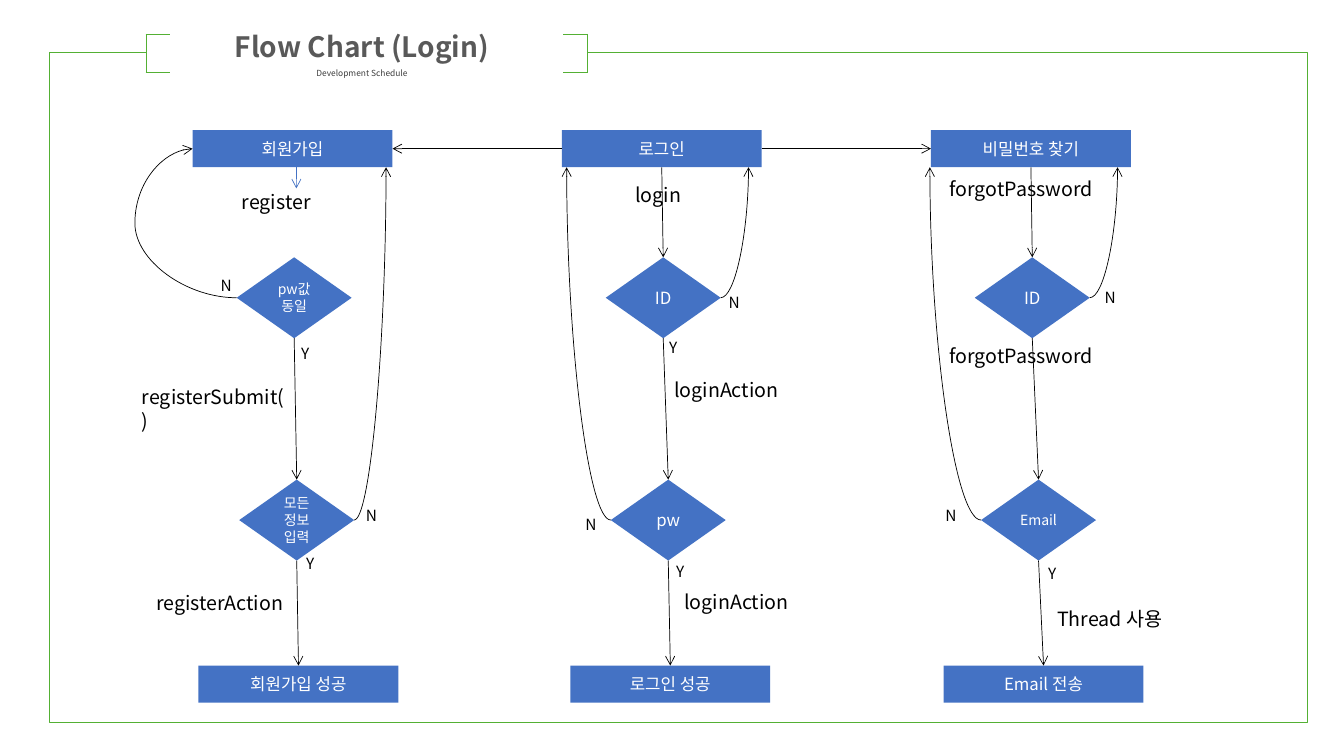
"""Build the login flow chart slide."""
import pptx
import pptx.dml.color
import pptx.enum.shapes
import pptx.enum.text
import pptx.oxml
import pptx.oxml.ns
import pptx.util

Pt = pptx.util.Pt
qn = pptx.oxml.ns.qn
SHAPES = pptx.enum.shapes.MSO_SHAPE
CONNECTORS = pptx.enum.shapes.MSO_CONNECTOR
CENTER = pptx.enum.text.PP_ALIGN.CENTER
LEFT = pptx.enum.text.PP_ALIGN.LEFT

FONT = "Noto Sans CJK KR"
GREEN, BLUE, BLACK, WHITE = "54B034", "4472C4", "000000", "FFFFFF"
TOP, LEFT_SIDE, BOTTOM, RIGHT_SIDE = range(4)

FRAME = (35.3, 37.4, 898.6, 478.8)
TITLE_BAR = (104.4, 24.5, 309.6, 27.4)
BAR_COLUMNS = [(14.4, "LTB"), (280.8, ""), (14.4, "RTB")]
TITLE_BOX = (106.6, 5.8, 303.8, 54.7)
TITLE_LINES = [("Flow Chart (Login)", 20, "595959", True),
               ("Development Schedule", 6, "404040", False)]

BOX_SIZE = (142.8, 26.6)
CHECK_SIZE = (82.1, 57.8)
STEPS = [
    (SHAPES.RECTANGLE, 92.9, BOX_SIZE,
     [(137.6, "회원가입", 12), (401.3, "로그인", 12), (665, "비밀번호 찾기", 12)]),
    (SHAPES.DIAMOND, 183.8, CHECK_SIZE,
     [(169.1, "pw값 동일", 10), (432.7, "ID", 12), (696.3, "ID", 12)]),
    (SHAPES.DIAMOND, 342.6, CHECK_SIZE,
     [(170.9, "모든 정보 입력", 10), (436.3, "pw", 12), (700.8, "Email", 10)]),
    (SHAPES.RECTANGLE, 475.4, BOX_SIZE,
     [(141.8, "회원가입 성공", 12), (407.4, "로그인 성공", 12), (674, "Email 전송", 12)]),
]

JOINS = [((0, 1), LEFT_SIDE, (0, 0), RIGHT_SIDE),
         ((0, 1), RIGHT_SIDE, (0, 2), LEFT_SIDE)]
JOINS += [((row, column), BOTTOM, (row + 1, column), TOP)
          for column in range(3) for row in range(3) if (row, column) != (0, 0)]

RETURNS = [((2, 0), RIGHT_SIDE, 275.8), ((1, 1), RIGHT_SIDE, 534.7),
           ((2, 1), LEFT_SIDE, 404.8), ((1, 2), RIGHT_SIDE, 798.3),
           ((2, 2), LEFT_SIDE, 664.2)]
REGISTER_ARROW = ((211.7, 117.4), (211.7, 134.6))

ANSWERS = [("N", 150.5, 193.7), ("Y", 208.1, 241.9), ("N", 254.2, 357.8),
           ("N", 411.1, 364.3), ("N", 513.4, 205.9), ("Y", 470.9, 238.3),
           ("Y", 475.9, 398.2), ("N", 781.9, 202.3), ("N", 668.2, 357.8),
           ("Y", 211.7, 392.4), ("Y", 741.6, 399.6)]
CALLS = [("register", 165.6, 131.8, 85.7, LEFT),
         ("login", 425.5, 127.4, 89.3, CENTER),
         ("forgotPassword", 671, 123.1, 142.6, LEFT),
         ("loginAction", 474.5, 266.4, 91.4, LEFT),
         ("loginAction", 481.7, 417.6, 98.6, LEFT),
         ("registerSubmit()", 94.3, 271.4, 117.4, LEFT),
         ("registerAction", 104.4, 418.3, 132.5, LEFT),
         ("forgotPassword", 671, 241.9, 142.6, LEFT),
         ("Thread 사용", 748.1, 429.8, 142.6, LEFT)]


def color(value):
    return pptx.dml.color.RGBColor.from_string(value)


def points(values):
    return [Pt(value) for value in values]


def format_runs(paragraph, size, fill, bold=False, align=CENTER):
    paragraph.alignment = align
    for run in paragraph.runs:
        run.font.name, run.font.size, run.font.bold = FONT, Pt(size), bold
        run.font.color.rgb = color(fill)
        east_asian = pptx.oxml.parse_xml(
            f'<a:ea {pptx.oxml.ns.nsdecls("a")} typeface="{FONT}"/>')
        run.font._element.find(qn("a:latin")).addnext(east_asian)


def add_text_box(slide, box, text):
    shape = slide.shapes.add_textbox(*points(box))
    frame = shape.text_frame
    frame.word_wrap = True
    frame.auto_size = pptx.enum.text.MSO_AUTO_SIZE.SHAPE_TO_FIT_TEXT
    frame.text = text
    return frame


def add_label(slide, text, left, top, width, height, size, align=LEFT):
    frame = add_text_box(slide, (left, top, width, height), text)
    format_runs(frame.paragraphs[0], size, BLACK, align=align)


def add_step(slide, kind, box, text, size):
    shape = slide.shapes.add_shape(kind, *points(box))
    shape.shadow.inherit = False
    shape.fill.solid()
    shape.fill.fore_color.rgb = color(BLUE)
    shape.line.fill.background()
    shape.text_frame.word_wrap = True
    shape.text_frame.vertical_anchor = pptx.enum.text.MSO_ANCHOR.MIDDLE
    shape.text_frame.text = text
    format_runs(shape.text_frame.paragraphs[0], size, WHITE)
    return shape


def site(shape, side):
    across, down = [(0.5, 0), (0, 0.5), (0.5, 1), (1, 0.5)][side]
    return (int(shape.left + shape.width * across),
            int(shape.top + shape.height * down))


def add_arrow(slide, start, end, kind=CONNECTORS.STRAIGHT, line_color=BLACK):
    connector = slide.shapes.add_connector(kind, *start, *end)
    connector.line.color.rgb = color(line_color)
    connector.line.width = Pt(0.5)
    namespace = pptx.oxml.ns.nsdecls("a")
    connector.line._get_or_add_ln().append(
        pptx.oxml.parse_xml(f'<a:tailEnd {namespace} type="arrow"/>'))
    connector._element.spPr.append(
        pptx.oxml.parse_xml(f"<a:effectLst {namespace}/>"))
    return connector


def join(slide, first, first_side, second, second_side, kind=CONNECTORS.STRAIGHT):
    connector = add_arrow(slide, site(first, first_side),
                          site(second, second_side), kind)
    connector.begin_connect(first, first_side)
    connector.end_connect(second, second_side)
    return connector


def add_title(slide):
    table_frame = slide.shapes.add_table(1, 3, *points(TITLE_BAR))
    table = table_frame.table
    table.first_row = table.horz_banding = False
    for index, (width, borders) in enumerate(BAR_COLUMNS):
        table.columns[index].width = Pt(width)
        cell = table.cell(0, index)
        cell.margin_top = cell.margin_bottom = 0
        cell.fill.solid()
        cell.fill.fore_color.rgb = color(WHITE)
        for position, side in enumerate("LRTB"):
            paint = (f'<a:solidFill><a:srgbClr val="{GREEN}"/></a:solidFill>'
                     if side in borders else "<a:noFill/>")
            cell._tc.tcPr.insert(position, pptx.oxml.parse_xml(
                f'<a:ln{side} {pptx.oxml.ns.nsdecls("a")} w="{Pt(0.75)}">'
                f"{paint}</a:ln{side}>"))
    frame = add_text_box(slide, TITLE_BOX, "\n".join(line[0] for line in TITLE_LINES))
    for paragraph, (_, size, fill, bold) in zip(frame.paragraphs, TITLE_LINES):
        paragraph.line_spacing = 1.5
        format_runs(paragraph, size, fill, bold)


def main():
    presentation = pptx.Presentation()
    presentation.slide_width, presentation.slide_height = Pt(960), Pt(540)
    slide = presentation.slides.add_slide(presentation.slide_layouts[6])

    border = slide.shapes.add_shape(SHAPES.RECTANGLE, *points(FRAME))
    border.shadow.inherit = False
    border.fill.background()
    border.line.color.rgb = color(GREEN)
    border.line.width = Pt(0.75)
    add_title(slide)

    steps = {}
    for row, (kind, top, size, cells) in enumerate(STEPS):
        for column, (left, text, font_size) in enumerate(cells):
            steps[row, column] = add_step(slide, kind, (left, top, *size), text, font_size)

    for first, first_side, second, second_side in JOINS:
        join(slide, steps[first], first_side, steps[second], second_side)
    add_arrow(slide, *map(points, REGISTER_ARROW), line_color=BLUE)

    retry = join(slide, steps[1, 0], LEFT_SIDE, steps[0, 0], LEFT_SIDE, CONNECTORS.CURVE)
    retry.adjustments = None
    guides = retry._element.spPr.find(qn("a:prstGeom")).get_or_add_avLst()
    guides.append(pptx.oxml.parse_xml(
        f'<a:gd {pptx.oxml.ns.nsdecls("a")} name="adj1" fmla="val 230900"/>'))

    for key, side, end_x in RETURNS:
        start_box = steps[0, key[1]]
        end = (Pt(end_x), start_box.top + start_box.height)
        curve = add_arrow(slide, site(steps[key], side), end, CONNECTORS.CURVE)
        curve.begin_connect(steps[key], side)
        curve._element.spPr.find(qn("a:prstGeom")).set("prst", "curvedConnector2")

    for text, left, top in ANSWERS:
        add_label(slide, text, left, top, 21.6, 20.9, 11)
    for text, left, top, width, align in CALLS:
        add_label(slide, text, left, top, width, 24.5, 14, align)

    presentation.save("out.pptx")


if __name__ == "__main__":
    main()
